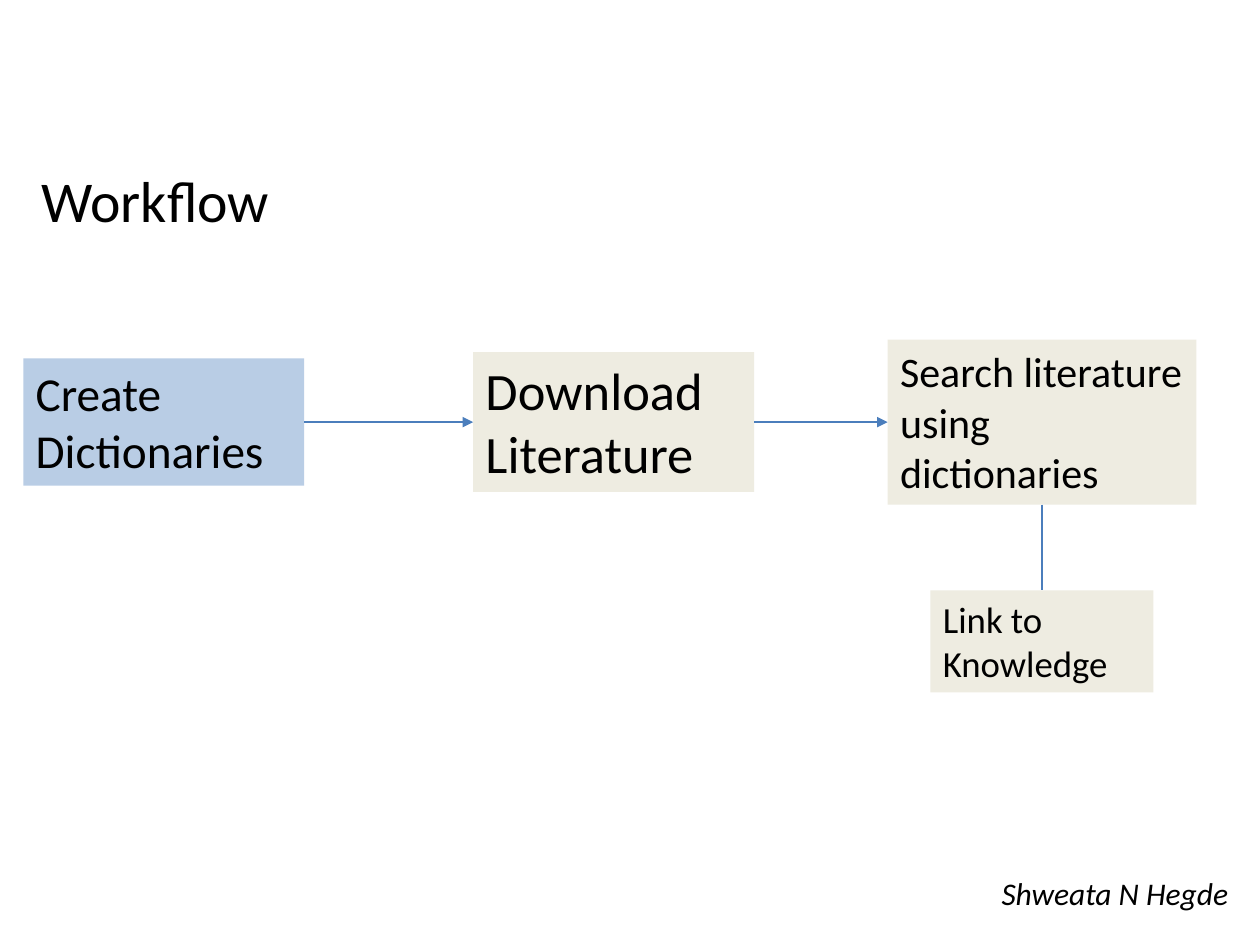
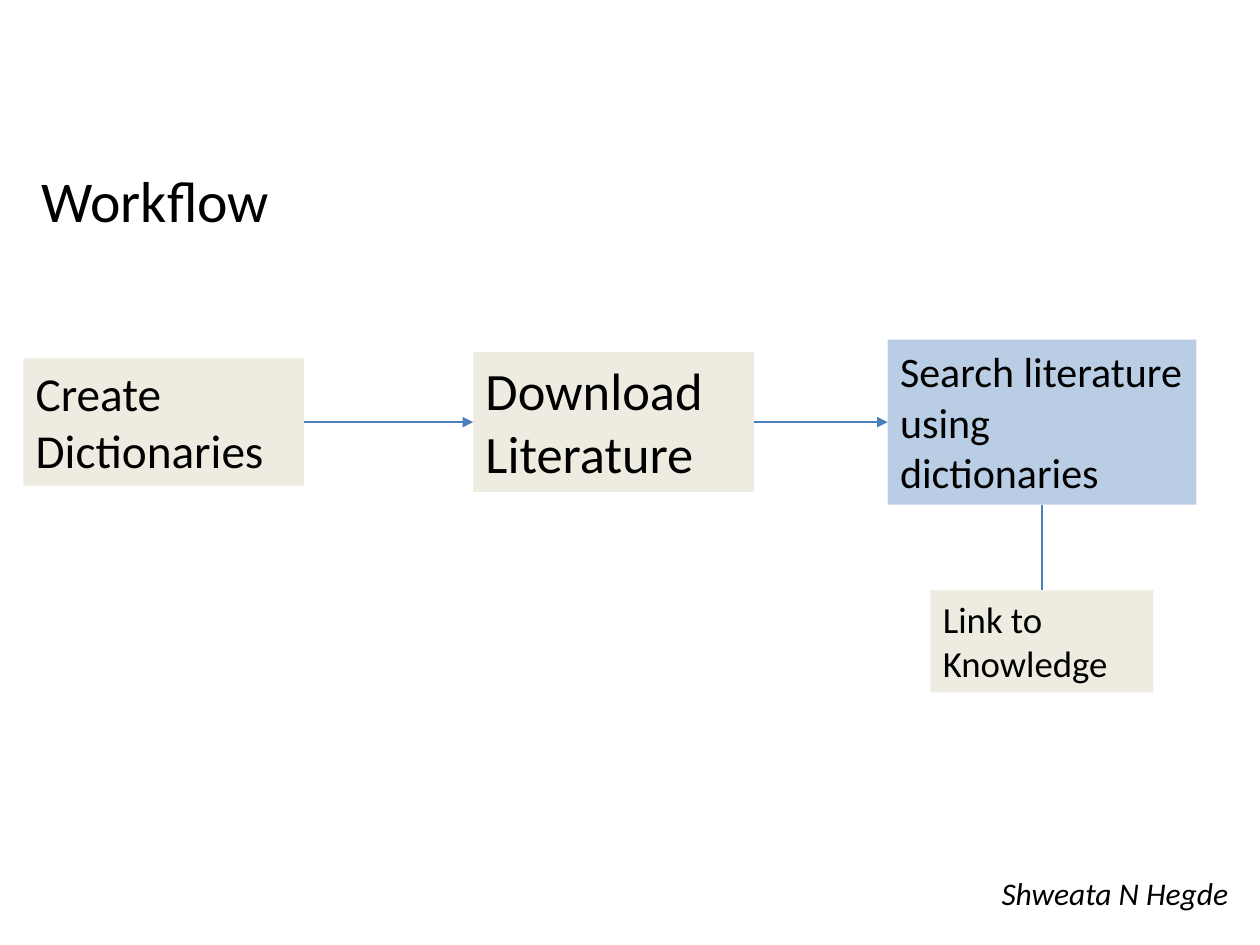
from lxml import etree
from pptx import Presentation
from pptx.dml.color import RGBColor
from pptx.enum.shapes import MSO_CONNECTOR, MSO_SHAPE
from pptx.enum.text import MSO_ANCHOR, PP_ALIGN
from pptx.oxml.ns import qn
from pptx.util import Inches, Pt

STRAIGHT = MSO_CONNECTOR.STRAIGHT
RECTANGLE = MSO_SHAPE.RECTANGLE
MIDDLE, TOP = MSO_ANCHOR.MIDDLE, MSO_ANCHOR.TOP
LEFT = PP_ALIGN.LEFT

BLACK = RGBColor(0x00, 0x00, 0x00)
CREAM = RGBColor(0xEE, 0xEC, 0xE1)
HIGHLIGHT = RGBColor(0xB9, 0xCD, 0xE5)
LINE_BLUE = RGBColor(0x4B, 0x7E, 0xBC)
FONT = "Calibri"

# Workflow grid: one main row, with the last step below the third column
MAIN_ROW = 3.35
LINK_ROW = 5.09
SEARCH_COLUMN = 8.27

# Step: text, centre x, centre y, width, height, text size
STEPS = [
    ("Create Dictionaries", 1.3, MAIN_ROW, 2.23, 1.01, 27),
    ("Download Literature", 4.87, MAIN_ROW, 2.23, 1.11, 30),
    ("Search literature using dictionaries", SEARCH_COLUMN, MAIN_ROW, 2.45, 1.31, 24),
    ("Link to Knowledge", SEARCH_COLUMN, LINK_ROW, 1.77, 0.81, 21),
]
HIGHLIGHTED_STEPS = [0, 2]  # one slide for each


def write_text(shape, text, anchor, wrap=True, **font_format):
    frame = shape.text_frame
    frame.word_wrap = wrap
    frame.vertical_anchor = anchor
    paragraph = frame.paragraphs[0]
    paragraph.text = text
    paragraph.alignment = LEFT
    paragraph.font.color.rgb = BLACK
    for name, value in {"name": FONT, **font_format}.items():
        setattr(paragraph.font, name, value)
    return paragraph


def connect(slide, start, start_site, end, end_site, arrow):
    connector = slide.shapes.add_connector(STRAIGHT, 0, 0, 0, 0)
    connector.begin_connect(start, start_site)
    connector.end_connect(end, end_site)
    connector.line.color.rgb = LINE_BLUE
    connector.line.width = Pt(0.75)
    if arrow:
        line = connector.line._get_or_add_ln()
        etree.SubElement(line, qn("a:tailEnd"), type="triangle")
    etree.SubElement(connector._element.spPr, qn("a:effectLst"))


presentation = Presentation()
presentation.slide_width = Inches(10)
presentation.slide_height = Inches(7.5)
blank_layout = presentation.slide_layouts[6]

for highlighted in HIGHLIGHTED_STEPS:
    slide = presentation.slides.add_slide(blank_layout)

    # Step boxes
    boxes = []
    for index, (text, center_x, center_y, width, height, size) in enumerate(STEPS):
        box = slide.shapes.add_shape(
            RECTANGLE, Inches(center_x - width / 2), Inches(center_y - height / 2),
            Inches(width), Inches(height))
        box.shadow.inherit = False
        box.fill.solid()
        box.fill.fore_color.rgb = HIGHLIGHT if index == highlighted else CREAM
        box.line.fill.background()
        write_text(box, text, TOP, size=Pt(size))
        boxes.append(box)

    # Arrows along the main row, then a plain line down (sites: 0 top, 1 left, 2 bottom, 3 right)
    create, download, search, link = boxes
    connect(slide, create, 3, download, 1, arrow=True)
    connect(slide, download, 3, search, 1, arrow=True)
    connect(slide, search, 2, link, 0, arrow=False)

    # Title
    title = slide.shapes.add_textbox(Inches(0.23), Inches(1.07), Inches(8.62), Inches(1.09))
    title_paragraph = write_text(title, "Workflow", MIDDLE, size=Pt(33))
    title_paragraph.line_spacing = 0.9

    # Author
    author = slide.shapes.add_textbox(Inches(7.85), Inches(6.89), Inches(2.01), Inches(0.4))
    write_text(author, "Shweata N Hegde", TOP, wrap=False, size=Pt(18), italic=True)

presentation.save("out.pptx")
